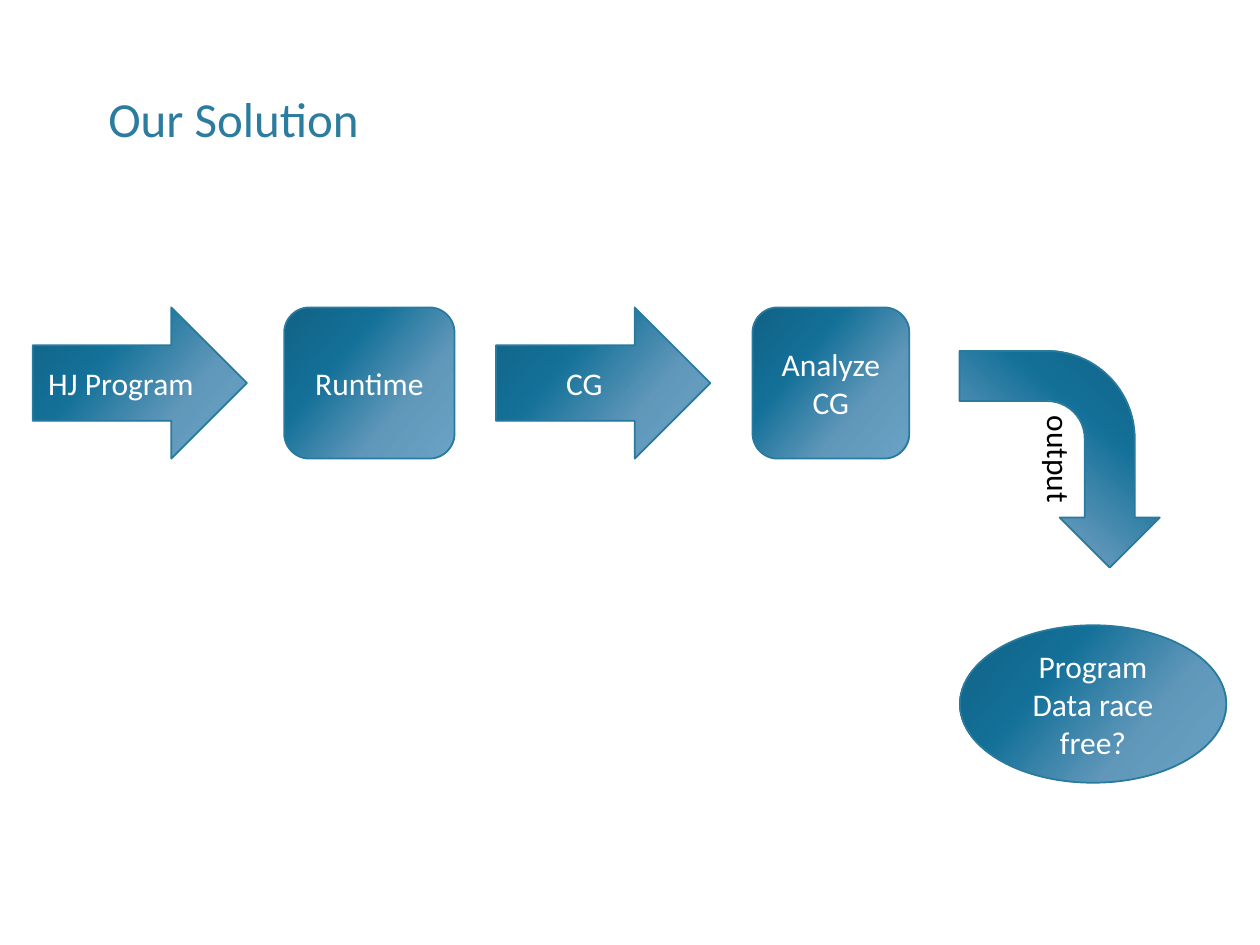
from typing import NamedTuple

from lxml.etree import SubElement as Sub
from pptx import Presentation
from pptx.dml.color import RGBColor as Rgb
from pptx.enum.shapes import MSO_SHAPE as Kind
from pptx.enum.text import MSO_ANCHOR as Anchor, PP_ALIGN as Align
from pptx.oxml.ns import qn
from pptx.util import Pt

STOPS = [(0, "5295BE", 85), (33, "5993B7", 95), (67, "147199", 100), (100, "126285", 100)]
ANGLE = 220
TOP, HIGH = 175.7, 86.4


class Step(NamedTuple):
    kind: Kind
    text: str
    left: float
    wide: float
    top: float = TOP
    high: float = HIGH
    turn: float = 0
    ink: str = "FFFFFF"


STEPS = [
    Step(Kind.RIGHT_ARROW, "HJ Program", 18.7, 122.4),
    Step(Kind.RIGHT_ARROW, "CG", 283.5, 122.4),
    Step(Kind.ROUNDED_RECTANGLE, "Runtime", 162.4, 97.4),
    Step(Kind.ROUNDED_RECTANGLE, "Analyze CG", 430, 89.6),
    Step(Kind.BENT_ARROW, "output", 543.6, 123.8, 205.2, 114.5, 90, "000000"),
    Step(Kind.OVAL, "Program Data race free?", 548.5, 152.2, 357.3, 90),
]


def tint(color, code: str) -> None:
    """Set a colour from its hex string."""
    color.rgb = Rgb.from_string(code)


def write(frame, text: str, *, size: float = 18, ink: str = "FFFFFF",
          align=Align.CENTER, anchor=Anchor.MIDDLE) -> None:
    """Put formatted text into a frame."""
    frame.word_wrap = True
    frame.vertical_anchor = anchor
    para = frame.paragraphs[0]
    para.alignment = align
    run = para.add_run()
    run.text = text
    run.font.name = "Calibri"
    run.font.size = Pt(size)
    tint(run.font.color, ink)


def shade(shape) -> None:
    """Fill a shape with the shared translucent gradient."""
    shape.fill.gradient()
    shape.fill.gradient_angle = 360 - ANGLE
    stops = shape.element.spPr.find(qn("a:gradFill")).find(qn("a:gsLst"))
    for old in list(stops):
        stops.remove(old)
    for place, code, alpha in STOPS:
        stop = Sub(stops, qn("a:gs"), pos=str(place * 1000))
        color = Sub(stop, qn("a:srgbClr"), val=code)
        if alpha < 100:
            Sub(color, qn("a:alpha"), val=str(alpha * 1000))


def draw(slide, step: Step) -> None:
    """Draw one step of the flow."""
    shape = slide.shapes.add_shape(
        step.kind, Pt(step.left), Pt(step.top), Pt(step.wide), Pt(step.high))
    shape.rotation = step.turn
    shape.shadow.inherit = False
    shade(shape)
    tint(shape.line.color, "287A9E")
    shape.line.width = Pt(1)
    write(shape.text_frame, step.text, ink=step.ink)


def head(slide, text: str) -> None:
    """Place and format the slide title."""
    title = slide.shapes.title
    title.left, title.top, title.width, title.height = Pt(58.3), Pt(18), Pt(378), Pt(69.8)
    frame = title.text_frame
    frame.margin_left = frame.margin_top = frame.margin_bottom = Pt(3.6)
    frame.margin_right = Pt(7.2)
    write(frame, text, size=28, ink="2C7C9F", align=Align.LEFT, anchor=Anchor.BOTTOM)


def main() -> None:
    """Build and save the slide."""
    deck = Presentation()
    deck.slide_width, deck.slide_height = Pt(720), Pt(540)
    slide = deck.slides.add_slide(deck.slide_layouts[5])
    head(slide, "Our Solution")
    for step in STEPS:
        draw(slide, step)
    deck.save("out.pptx")


if __name__ == "__main__":
    main()
